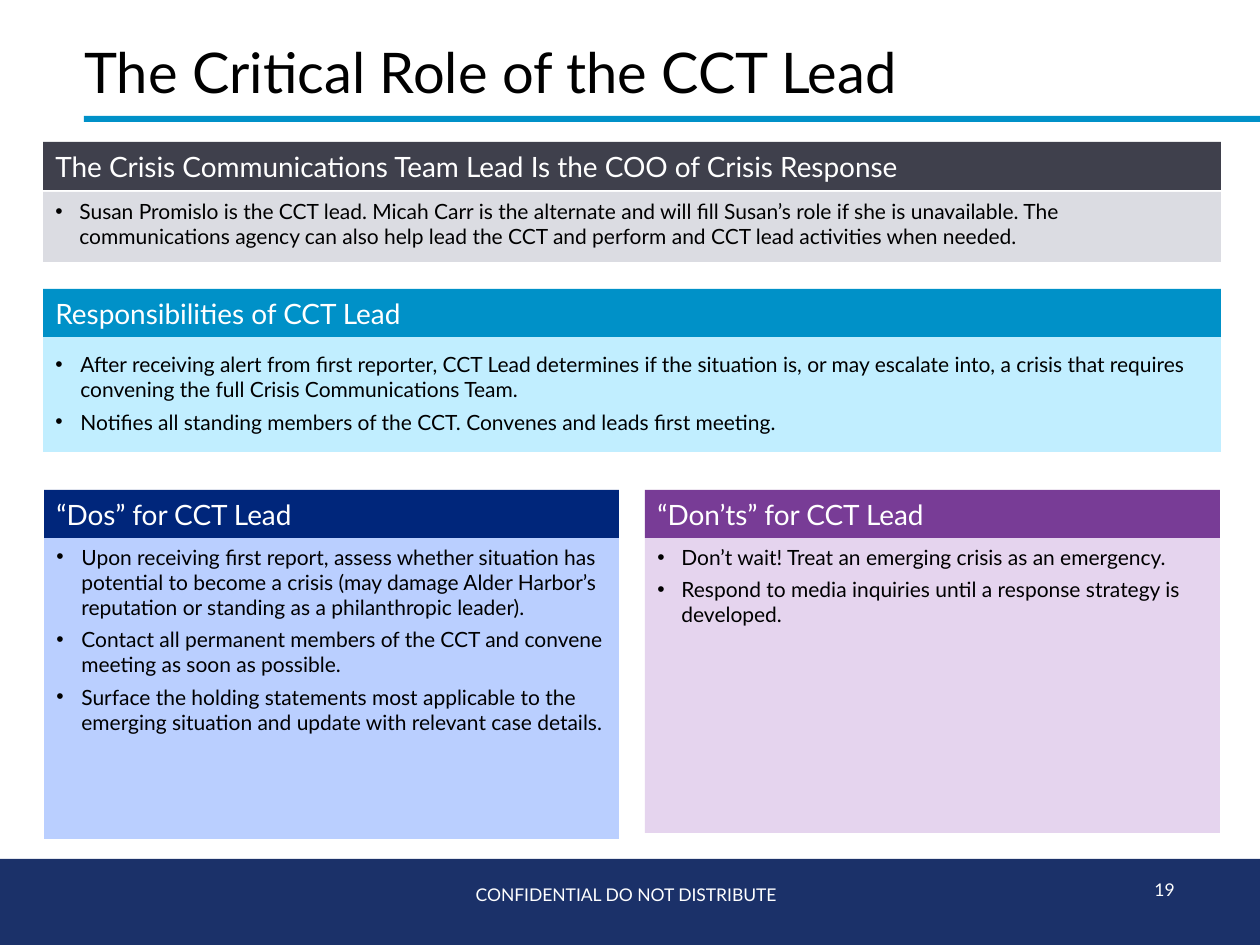
import pptx
import pptx.util
from pptx.dml.color import RGBColor
from pptx.enum.shapes import MSO_SHAPE
from pptx.enum.text import MSO_ANCHOR, PP_ALIGN
from pptx.oxml.ns import qn
from lxml import etree

PX = 914400 / 126  # EMU in one px
FONT = "Lato"

WHITE = RGBColor(0xFF, 0xFF, 0xFF)
BLACK = RGBColor(0x00, 0x00, 0x00)
NAVY = RGBColor(0x1B, 0x31, 0x69)
CYAN = RGBColor(0x00, 0x91, 0xC8)
PALE_CYAN = RGBColor(0xC1, 0xEE, 0xFF)
SLATE = RGBColor(0x3F, 0x40, 0x4C)
PALE_GREY = RGBColor(0xDB, 0xDC, 0xE2)
BLUE = RGBColor(0x00, 0x26, 0x7B)
PALE_BLUE = RGBColor(0xBA, 0xCF, 0xFF)
PURPLE = RGBColor(0x78, 0x3C, 0x96)
PALE_PURPLE = RGBColor(0xE5, 0xD4, 0xEE)


def emu(px):
    return pptx.util.Emu(round(px * PX))


def add_rect(page, box, color):
    rect = page.shapes.add_shape(MSO_SHAPE.RECTANGLE, *map(emu, box))
    rect.shadow.inherit = False
    rect.fill.solid()
    rect.fill.fore_color.rgb = color
    rect.line.fill.background()
    return rect


def add_bullet(para, indent):
    props = para._p.get_or_add_pPr()
    props.set("marL", str(emu(indent)))
    props.set("indent", str(-emu(indent)))
    etree.SubElement(props, qn("a:buFont")).set("typeface", "Arial")
    etree.SubElement(props, qn("a:buChar")).set("char", "•")


def write(shape, *texts, size=12, color=BLACK, align=PP_ALIGN.LEFT,
          anchor=MSO_ANCHOR.MIDDLE, indent=0, after=0, spacing=None):
    """Write one paragraph for each text."""
    frame = shape.text_frame
    frame.word_wrap = True
    frame.vertical_anchor = anchor
    for number, text in enumerate(texts):
        para = frame.add_paragraph() if number else frame.paragraphs[0]
        para.alignment = align
        para.space_after = pptx.util.Pt(after)
        if spacing:
            para.line_spacing = spacing
        if indent:
            add_bullet(para, indent)
        span = para.add_run()
        span.text = text
        span.font.name = FONT
        span.font.size = pptx.util.Pt(size)
        span.font.color.rgb = color


def add_text(page, box, text, **style):
    write(page.shapes.add_textbox(*map(emu, box)), text, **style)


def add_heading(page, box):
    left, top, width, height = box
    add_rect(page, (left + 12, top + height - 6, width - 12, 6), CYAN)
    add_text(page, (left, top, 1115, 54), "The Critical Role of the CCT Lead",
             size=32, spacing=0.9)


def add_panel(page, box, title, items, dark, pale, body_top=48,
              anchor=MSO_ANCHOR.TOP, indent=25):
    """A title bar over a pale body that holds a bulleted list."""
    left, top, width, height = box
    body = add_rect(page, (left, top + body_top, width, height - body_top), pale)
    write(body, *items, anchor=anchor, indent=indent, after=4)
    bar = add_rect(page, (left, top, width, 48), dark)
    write(bar, title, size=16, color=WHITE)


def add_footer(page, box):
    left, top, width, height = box
    add_rect(page, box, NAVY)
    add_text(page, (left + 413, top + 9, 426, 53), "CONFIDENTIAL DO NOT DISTRIBUTE",
             size=10, color=WHITE, align=PP_ALIGN.CENTER)
    add_text(page, (left + 1031, top + 4, 156, 53), "19",
             size=10, color=WHITE, align=PP_ALIGN.RIGHT)


def main():
    deck = pptx.Presentation()
    deck.slide_width, deck.slide_height = emu(1260), emu(945)
    page = deck.slides.add_slide(deck.slide_layouts[6])

    add_footer(page, (0, 859, 1260, 86))
    add_heading(page, (72, 48, 1188, 74))

    # Full-width panels
    add_panel(page, (43, 142, 1178, 120),
              "The Crisis Communications Team Lead Is the COO of Crisis Response",
              ["Susan Promislo is the CCT lead. Micah Carr is the alternate and will "
               "fill Susan’s role if she is unavailable. The communications agency can "
               "also help lead the CCT and perform and CCT lead activities when needed."],
              SLATE, PALE_GREY, body_top=50, indent=24)
    add_panel(page, (43, 289, 1178, 163), "Responsibilities of CCT Lead",
              ["After receiving alert from first reporter, CCT Lead determines if the "
               "situation is, or may escalate into, a crisis that requires convening "
               "the full Crisis Communications Team.",
               "Notifies all standing members of the CCT. Convenes and leads first "
               "meeting."],
              CYAN, PALE_CYAN, body_top=45, anchor=MSO_ANCHOR.MIDDLE)

    # Half-width panels
    add_panel(page, (44, 490, 575, 349), "“Dos” for CCT Lead",
              ["Upon receiving first report, assess whether situation has potential to "
               "become a crisis (may damage Alder Harbor’s reputation or standing as "
               "a philanthropic leader).",
               "Contact all permanent members of the CCT and convene meeting as soon "
               "as possible.",
               "Surface the holding statements most applicable to the emerging "
               "situation and update with relevant case details."],
              BLUE, PALE_BLUE)
    add_panel(page, (645, 490, 575, 343), "“Don’ts” for CCT Lead",
              ["Don’t wait! Treat an emerging crisis as an emergency.",
               "Respond to media inquiries until a response strategy is developed."],
              PURPLE, PALE_PURPLE, indent=24)

    deck.save("out.pptx")


if __name__ == "__main__":
    main()
